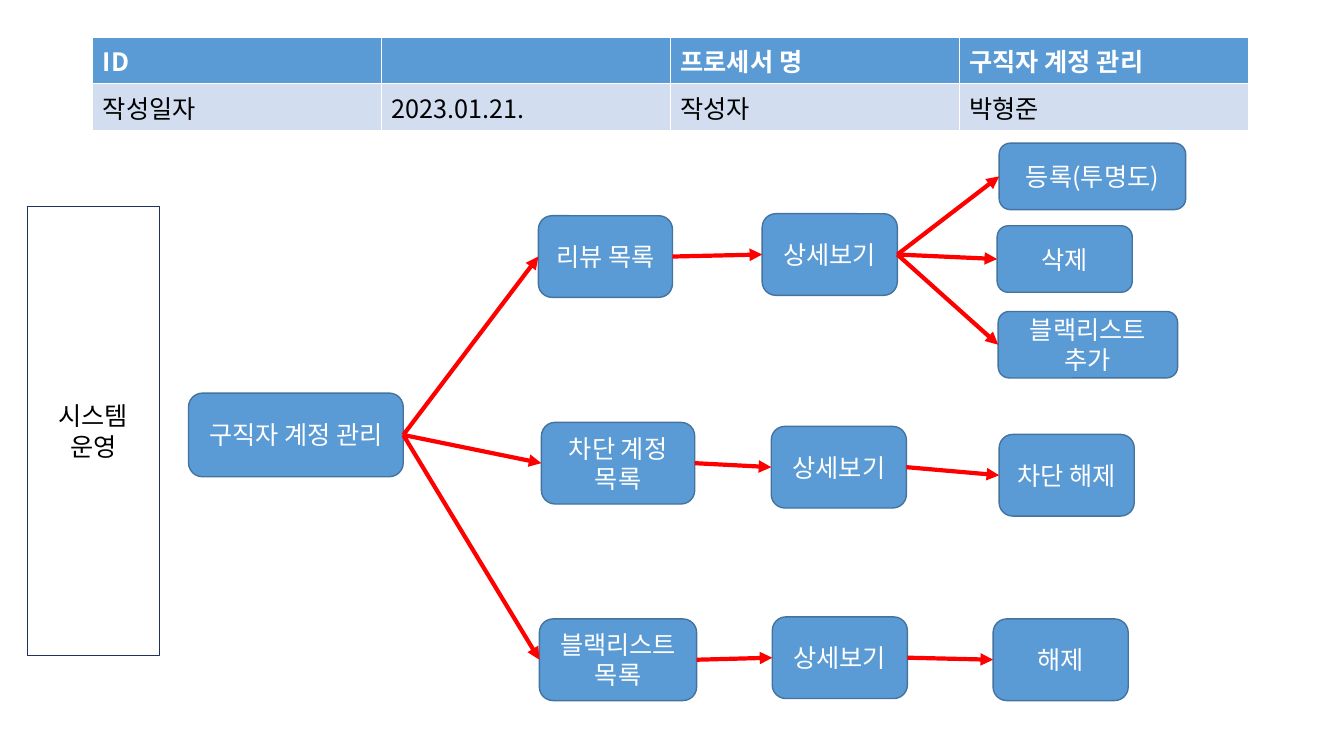
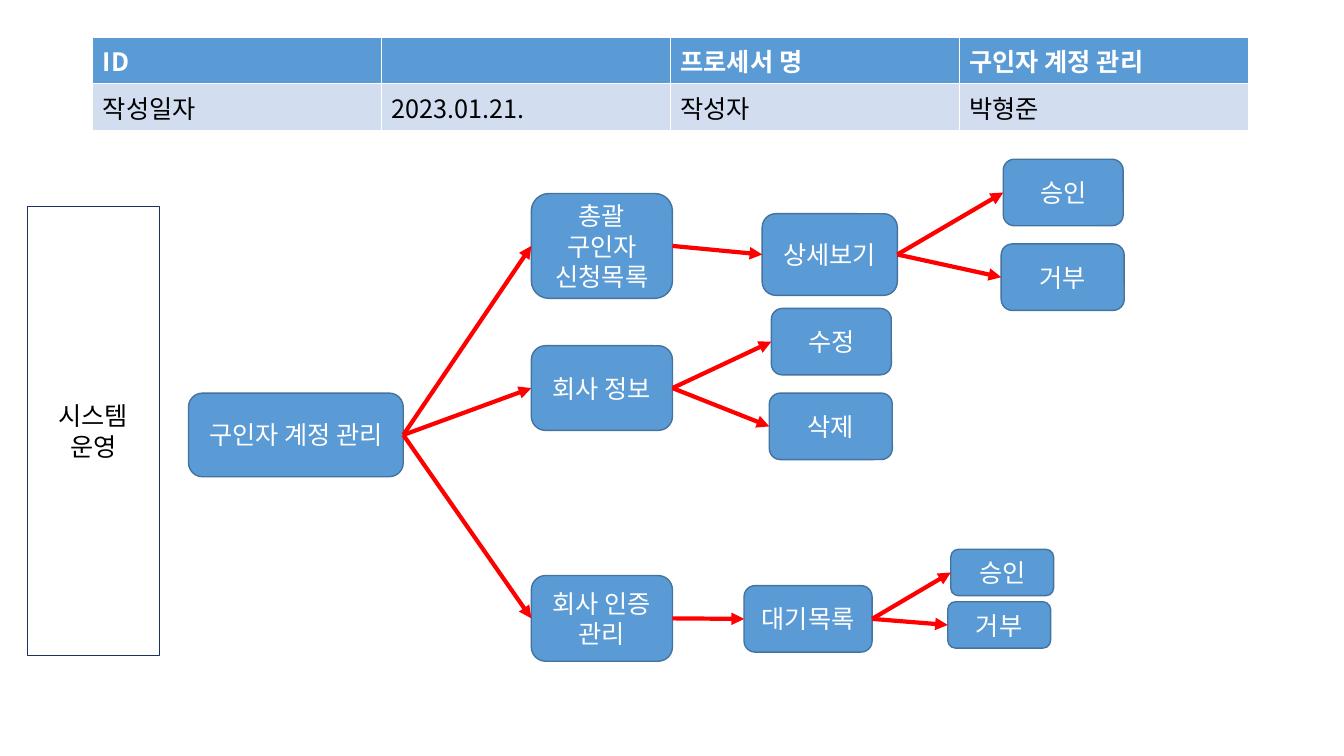
from lxml.etree import SubElement
from pptx import Presentation
from pptx.dml.color import RGBColor as Rgb
from pptx.enum.shapes import MSO_CONNECTOR as Link, MSO_SHAPE as Kind
from pptx.enum.text import MSO_ANCHOR as Anchor, PP_ALIGN as Align
from pptx.oxml import parse_xml
from pptx.oxml.ns import nsdecls, qn
from pptx.util import Inches, Pt

FONT = "Noto Sans CJK KR"
HEX = {
    "blue": "5B9BD5",
    "edge": "43739E",
    "pale": "D2DEEF",
    "navy": "1C335D",
    "red": "FF0000",
    "white": "FFFFFF",
    "black": "000000",
}
LEFT, RIGHT = 1, 3

SEEKER = ("구직자 계정 관리", 1.87, 3.9, 2.13, 0.83, [
    ("리뷰 목록", 5.34, 2.14, 1.33, 0.81, [
        ("상세보기", 7.56, 2.12, 1.34, 0.81, [
            ("등록(투명도)", 9.91, 1.42, 1.85, 0.66, []),
            ("삭제", 9.89, 2.24, 1.34, 0.66, []),
            ("블랙리스트 추가", 9.9, 3.09, 1.78, 0.66, []),
        ]),
    ]),
    ("차단 계정 목록", 5.37, 4.19, 1.52, 0.81, [
        ("상세보기", 7.65, 4.23, 1.34, 0.81, [
            ("차단 해제", 9.91, 4.31, 1.34, 0.81, []),
        ]),
    ]),
    ("블랙리스트 목록", 5.35, 6.14, 1.56, 0.81, [
        ("상세보기", 7.66, 6.12, 1.34, 0.81, [
            ("해제", 9.85, 6.14, 1.34, 0.81, []),
        ]),
    ]),
])

HIRER = ("구인자 계정 관리", 1.87, 3.9, 2.13, 0.83, [
    ("총괄 구인자 신청목록", 5.27, 1.92, 1.4, 1.04, [
        ("상세보기", 7.56, 2.12, 1.34, 0.81, [
            ("승인", 9.95, 1.58, 1.19, 0.66, []),
            ("거부", 9.93, 2.42, 1.22, 0.66, []),
        ]),
    ]),
    ("회사 정보", 5.27, 3.43, 1.4, 0.84, [
        ("수정", 7.65, 3.06, 1.19, 0.66, []),
        ("삭제", 7.63, 3.9, 1.22, 0.66, []),
    ]),
    ("회사 인증 관리", 5.27, 5.71, 1.4, 0.85, [
        ("대기목록", 7.38, 5.81, 1.27, 0.66, [
            ("승인", 9.43, 5.45, 1.02, 0.46, []),
            ("거부", 9.4, 5.97, 1.02, 0.46, []),
        ]),
    ]),
])


class Deck:
    def __init__(self):
        self.prs = Presentation()
        self.prs.slide_width = Inches(13.33)
        self.prs.slide_height = Inches(7.5)
        self.slide = None

    def color(self, name):
        return Rgb.from_string(HEX[name])

    def page(self):
        self.slide = self.prs.slides.add_slide(self.prs.slide_layouts[6])

    def label(self, frame, text, color, bold=False, align=Align.LEFT):
        frame.text = text
        for para in frame.paragraphs:
            para.alignment = align
            for run in para.runs:
                font = run.font
                font.size, font.bold, font.name = Pt(18), bold, FONT
                font.color.rgb = self.color(color)
                SubElement(run._r.get_or_add_rPr(), qn("a:ea"), typeface=FONT)

    def box(self, kind, text, area, fill, edge, ink, width):
        box = self.slide.shapes.add_shape(kind, *map(Inches, area))
        box.shadow.inherit = False
        box.fill.solid()
        box.fill.fore_color.rgb = self.color(fill)
        box.line.color.rgb = self.color(edge)
        box.line.width = Pt(width)
        frame = box.text_frame
        frame.word_wrap = True
        frame.vertical_anchor = Anchor.MIDDLE
        self.label(frame, text, ink, align=Align.CENTER)
        return box

    def arrow(self, start, end):
        link = self.slide.shapes.add_connector(Link.STRAIGHT, 0, 0, 0, 0)
        link.begin_connect(start, RIGHT)
        link.end_connect(end, LEFT)
        link.line.color.rgb = self.color("red")
        link.line.width = Pt(3)
        props = link._element.spPr
        SubElement(props.get_or_add_ln(), qn("a:tailEnd"), type="triangle")
        SubElement(props, qn("a:effectLst"))

    def tree(self, node):
        text, *area, kids = node
        box = self.box(Kind.ROUNDED_RECTANGLE, text, area, "blue", "edge", "white", 1)
        for kid in kids:
            self.arrow(box, self.tree(kid))
        return box

    def cell(self, cell, text, fill, ink, bold):
        self.label(cell.text_frame, text, ink, bold)
        cell.fill.solid()
        cell.fill.fore_color.rgb = self.color(fill)
        props = cell._tc.get_or_add_tcPr()
        for pos, side in enumerate(("lnL", "lnR", "lnT", "lnB")):
            props.insert(pos, parse_xml(
                f'<a:{side} {nsdecls("a")} w="{Pt(1)}"><a:solidFill>'
                f'<a:srgbClr val="{HEX["white"]}"/></a:solidFill></a:{side}>'))

    def table(self, rows):
        area = map(Inches, (0.92, 0.37, 11.46, 0.84))
        table = self.slide.shapes.add_table(len(rows), len(rows[0]), *area).table
        looks = (("blue", "white", True), ("pale", "black", False))
        for row, high, texts, look in zip(table.rows, (0.43, 0.41), rows, looks):
            row.height = Inches(high)
            for cell, text in zip(row.cells, texts):
                self.cell(cell, text, *look)

    def chart(self, root):
        self.page()
        self.table([
            ("ID", "", "프로세서 명", root[0]),
            ("작성일자", "2023.01.21.", "작성자", "박형준"),
        ])
        self.box(Kind.RECTANGLE, "시스템\n운영", (0.27, 2.05, 1.31, 4.45),
                 "white", "navy", "black", 0)
        self.tree(root)


def main():
    deck = Deck()
    for root in (SEEKER, HIRER):
        deck.chart(root)
    deck.prs.save("out.pptx")


if __name__ == "__main__":
    main()
